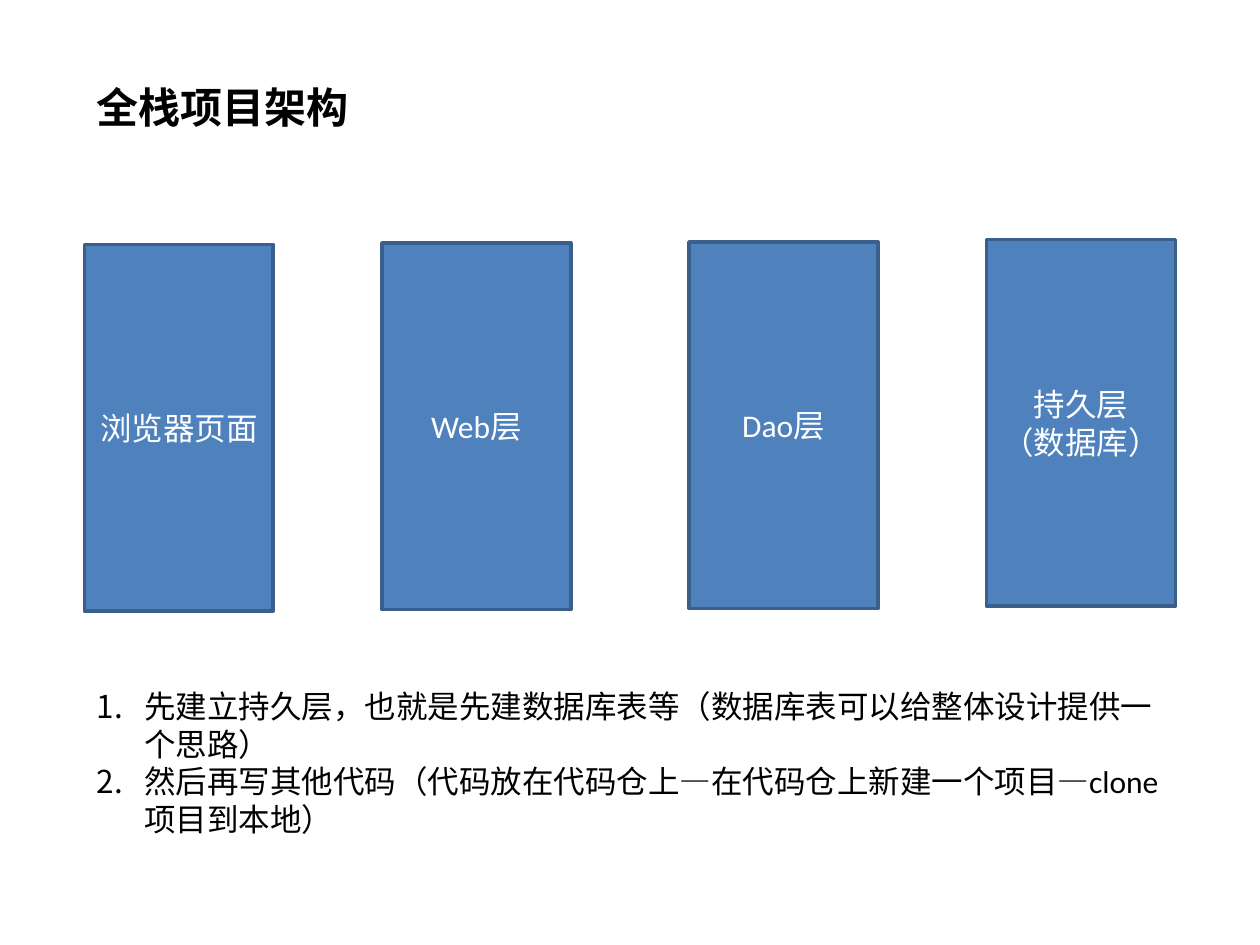
from lxml.etree import SubElement as Sub
from pptx import Presentation
from pptx.dml.color import RGBColor as Rgb
from pptx.enum.shapes import MSO_SHAPE as Shape
from pptx.enum.text import MSO_ANCHOR as Anchor, MSO_AUTO_SIZE as Auto, PP_ALIGN as Align
from pptx.oxml.ns import qn
from pptx.util import Cm, Pt

INK = {"fill": "4F81BD", "edge": "3A5F8C", "light": "FFFFFF", "text": "000000"}
LAYERS = [
    ("浏览器页面", 0, 0.1),
    ("Web层", 6, 0.07),
    ("Dao层", 12.19, 0.05),
    ("持久层\v（数据库）", 18.19, 0),
]
STEPS = [
    "先建立持久层，也就是先建数据库表等（数据库表可以给整体设计提供一个思路）",
    "然后再写其他代码（代码放在代码仓上—在代码仓上新建一个项目—clone项目到本地）",
]


def color(name):
    return Rgb.from_string(INK[name])


def style(para, face, size, ink, align, bold=False):
    para.alignment = align
    para.space_before = Pt(0)
    font = para.font
    font.name, font.size, font.bold = face, Pt(size), bold
    font.color.rgb = color(ink)


def place(shape, box):
    shape.left, shape.top, shape.width, shape.height = (Cm(n) for n in box)
    frame = shape.text_frame
    frame.word_wrap = True
    frame.auto_size = Auto.NONE
    frame.vertical_anchor = Anchor.TOP
    return frame


def add_title(slide, box):
    frame = place(slide.shapes.title, box)
    frame.text = "全栈项目架构"
    style(frame.paragraphs[0], "Arial", 24, "text", Align.LEFT, True)


def add_layers(slide, box):
    left, top, wide, high = box
    for label, right, down in LAYERS:
        card = slide.shapes.add_shape(
            Shape.RECTANGLE, Cm(left + right), Cm(top + down), Cm(wide), Cm(high))
        card.shadow.inherit = False
        card.fill.solid()
        card.fill.fore_color.rgb = color("fill")
        card.line.color.rgb = color("edge")
        card.line.width = Pt(2)
        frame = card.text_frame
        frame.word_wrap = True
        frame.vertical_anchor = Anchor.MIDDLE
        frame.text = label
        style(frame.paragraphs[0], "Calibri", 18, "light", Align.CENTER)


def add_steps(slide, box):
    frame = place(slide.placeholders[1], box)
    frame.text = "\n".join(STEPS)
    for para in frame.paragraphs:
        style(para, "Calibri", 18, "text", Align.LEFT)
        props = para._p.get_or_add_pPr()
        props.set("marL", str(Cm(0.95)))
        props.set("indent", str(-Cm(0.95)))
        bullet = Sub(props, qn("a:buFont"), typeface="+mj-lt")
        bullet.addnext(props.makeelement(qn("a:buAutoNum"), {"type": "arabicPeriod"}))
        props.append(props.find(qn("a:defRPr")))


deck = Presentation()
deck.slide_width, deck.slide_height = Cm(25.4), Cm(19.05)
slide = deck.slides.add_slide(deck.slide_layouts[1])
add_title(slide, (1.7, 1.52, 22, 1.27))
add_layers(slide, (1.7, 4.83, 3.81, 7.39))
add_steps(slide, (1.7, 13.72, 22, 3.33))
deck.save("out.pptx")
